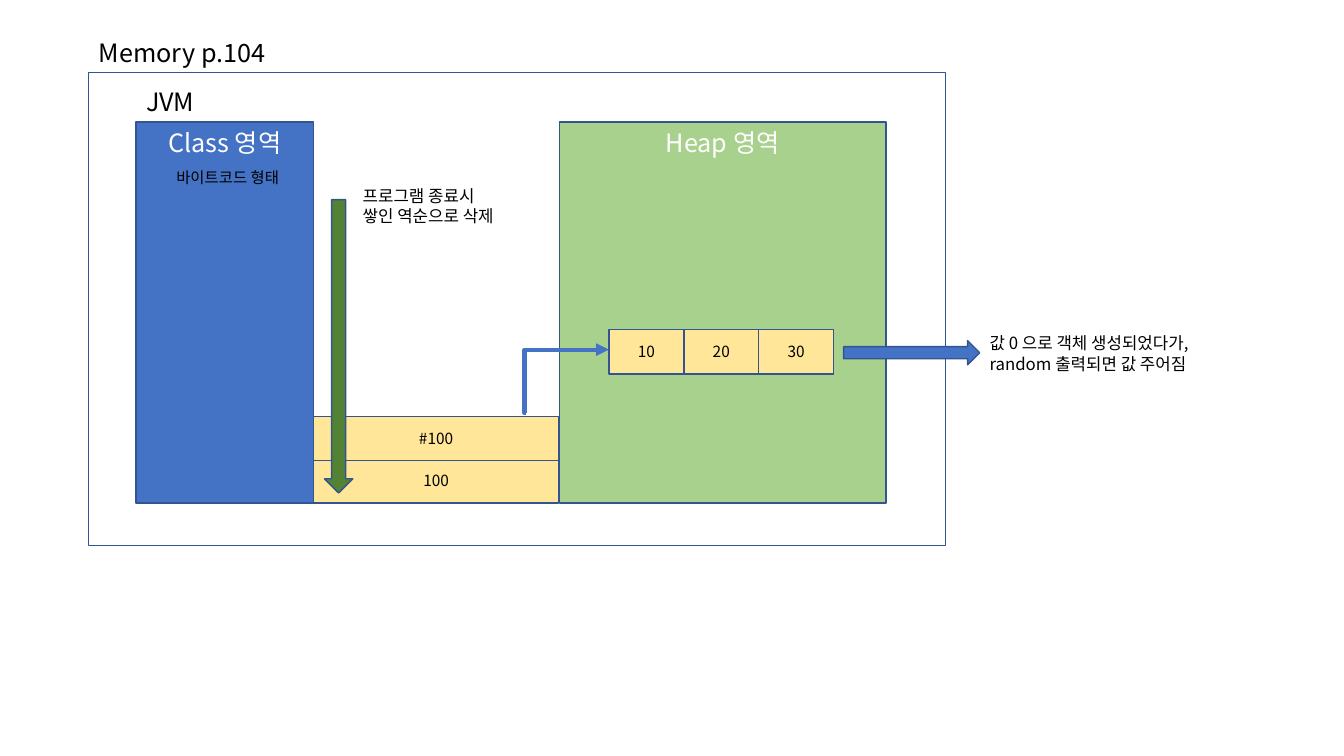
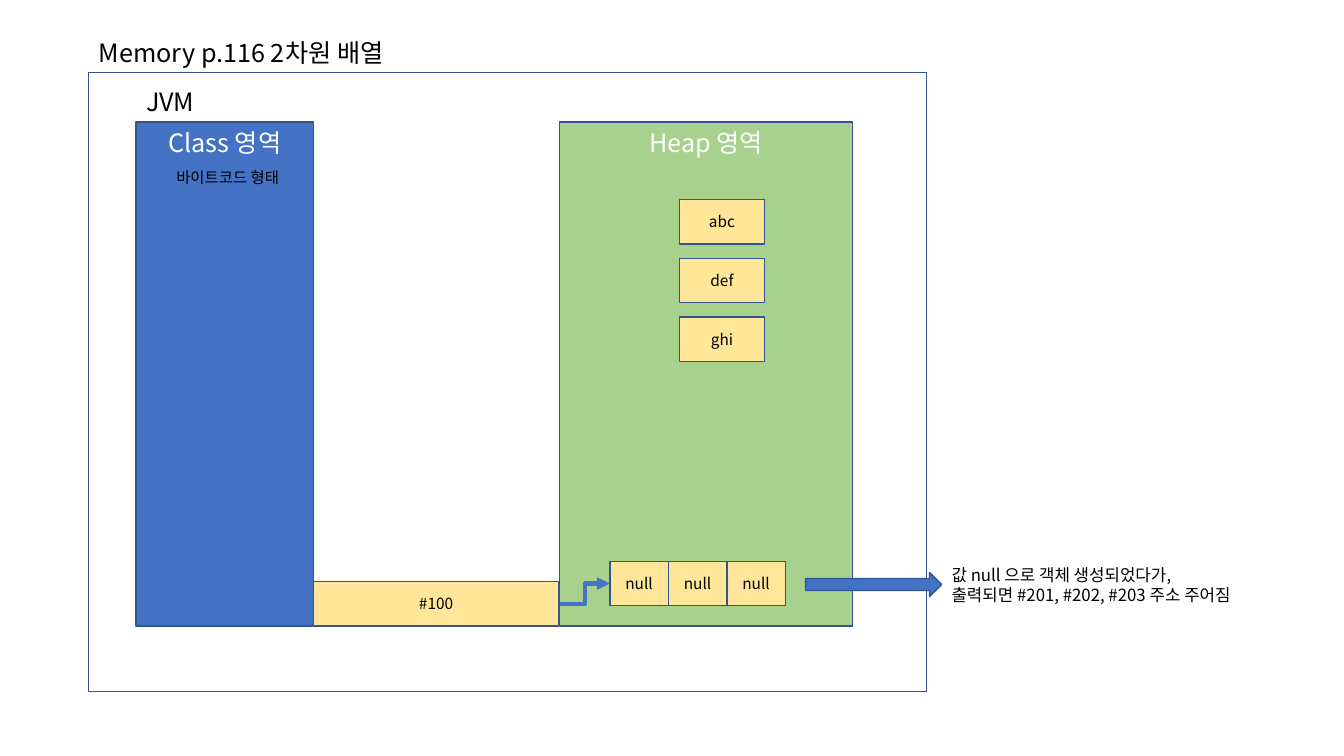
import pptx
import pptx.util
import pptx.dml.color
import pptx.enum.shapes
import pptx.enum.text
import pptx.oxml.ns
from lxml import etree

Pt = pptx.util.Pt
qn = pptx.oxml.ns.qn
SHAPE = pptx.enum.shapes.MSO_SHAPE
ALIGN = pptx.enum.text.PP_ALIGN
ANCHOR = pptx.enum.text.MSO_ANCHOR

FONT = "Noto Sans CJK KR"
BLUE, OUTLINE, HEAP = "4472C4", "325491", "A9D18E"
CELL, STACK_ARROW = "FFE699", "548235"
BLACK, WHITE = "000000", "FFFFFF"
CELL_H = 31.7
CLASS_W = 126.7
STACK_W = 175.2


def rgb(color):
    """Turn a hex string into a colour."""
    return pptx.dml.color.RGBColor.from_string(color)


def write(shape, text, size, color=BLACK, align=ALIGN.LEFT, anchor=ANCHOR.TOP):
    """Put text, one paragraph a line, into a shape."""
    tf = shape.text_frame
    tf.text = text
    tf.word_wrap = True
    tf.auto_size = pptx.enum.text.MSO_AUTO_SIZE.NONE
    tf.vertical_anchor = anchor
    for p in tf.paragraphs:
        p.alignment = align
        p.font.size = Pt(size)
        p.font.name = FONT
        p.font.color.rgb = rgb(color)
        defaults = p._p.get_or_add_pPr().find(qn("a:defRPr"))
        etree.SubElement(defaults, qn("a:ea"), typeface=FONT)


def add_shape(s, kind, box, fill=None):
    """Add an outlined preset shape, hollow unless a fill is given."""
    sp = s.shapes.add_shape(kind, *map(Pt, box))
    sp.shadow.inherit = False
    sp.line.color.rgb = rgb(OUTLINE)
    sp.line.width = Pt(1)
    if fill:
        sp.fill.solid()
        sp.fill.fore_color.rgb = rgb(fill)
    else:
        sp.fill.background()
    return sp


def add_label(s, box, text, size, **style):
    """Add a text box."""
    write(s.shapes.add_textbox(*map(Pt, box)), text, size, **style)


def add_area(s, box, name, fill):
    """Add a memory area with its name at the top."""
    write(add_shape(s, SHAPE.RECTANGLE, box, fill), name, 18, WHITE, ALIGN.CENTER)


def add_cells(s, box, values, dx=0, dy=0):
    """Add value cells, each shifted by dx and dy from the one before."""
    x, y, w, h = box
    for i, value in enumerate(values):
        cell = add_shape(s, SHAPE.RECTANGLE, (x + i * dx, y + i * dy, w, h), CELL)
        write(cell, value, 11, align=ALIGN.CENTER, anchor=ANCHOR.MIDDLE)


def add_array(s, box, values, gap, note, note_w):
    """Add an array row, then an arrow to the note on its values."""
    x, y, w, h = box
    pitch = w / len(values)
    add_cells(s, (x, y, pitch, h), values, dx=pitch)
    arrow_x, arrow_w, arrow_h = x + w + gap, 97.2, 17.3
    add_label(s, (arrow_x + arrow_w, y - 1, note_w, 36), note, 12)
    arrow_box = (arrow_x, y + (h - arrow_h) / 2 + 0.7, arrow_w, arrow_h)
    add_shape(s, SHAPE.RIGHT_ARROW, arrow_box, BLUE)


def add_reference(s, start, end, bend):
    """Add an elbow arrow that turns at the share bend of its width."""
    kind = pptx.enum.shapes.MSO_CONNECTOR.ELBOW
    line = s.shapes.add_connector(kind, *map(Pt, start + end))
    line.line.color.rgb = rgb(BLUE)
    line.line.width = Pt(3)
    props = line._element.spPr
    guides = props.find(qn("a:prstGeom")).get_or_add_avLst()
    etree.SubElement(guides, qn("a:gd"), name="adj1", fmla=f"val {round(bend * 100000)}")
    etree.SubElement(props.find(qn("a:ln")), qn("a:tailEnd"), type="triangle")
    etree.SubElement(props, qn("a:effectLst"))


def add_memory(prs, title, box, area_h, heap_w, stack):
    """Add a slide with the memory frame, its areas and the stack."""
    s = prs.slides.add_slide(prs.slide_layouts[5])
    x, y, w, h = box
    head = s.shapes.title
    head.left, head.top, head.width, head.height = map(Pt, (x, y - 28.8, 300, 28.8))
    write(head, title, 18)
    add_shape(s, SHAPE.RECTANGLE, box)
    left, top = x + 33.8, y + 35.3
    stack_x = left + CLASS_W
    add_area(s, (left, top, CLASS_W, area_h), "Class 영역", BLUE)
    add_area(s, (stack_x + STACK_W + 0.5, top, heap_w, area_h), "Heap 영역", HEAP)
    add_label(s, (left, top - 28.8, 60, 28.8), "JVM", 18)
    add_label(s, (left + 15.8, top + 23.8, 99.4, CELL_H), "바이트코드 형태", 11,
              align=ALIGN.CENTER, anchor=ANCHOR.MIDDLE)
    stack_box = (stack_x, top + area_h - CELL_H, STACK_W, CELL_H)
    add_cells(s, stack_box, stack, dy=-30.2)
    return s


def add_stack_order(s, box, note):
    """Add the downward arrow along the stack and the note beside it."""
    x, y, w, h = box
    add_shape(s, SHAPE.DOWN_ARROW, box, STACK_ARROW)
    add_label(s, (x + w, y - 13.7, 125, 36), note, 12)


def array_slide(prs):
    """Show an array of numbers in memory."""
    s = add_memory(prs, "Memory p.104", (63.4, 51.8, 612, 337.7), 272.2, 233.3,
                   ["100", "#100"])
    add_stack_order(s, (231.8, 142.6, 20.2, 209.5),
                    "프로그램 종료시\n쌓인 역순으로 삭제")
    add_array(s, (434.9, 235.4, 160.6, CELL_H), ["10", "20", "30"], 7.1,
              "값 0 으로 객체 생성되었다가,\nrandom 출력되면 값 주어짐", 190)
    add_reference(s, (375.8, 295.2), (434.9, 249.8), -0.02)


def nested_array_slide(prs):
    """Show a two-dimensional array in memory."""
    s = add_memory(prs, "Memory p.116 2차원 배열", (63.4, 51.8, 598.3, 442.1), 360,
                   209.5, ["#100"])
    add_array(s, (435.6, 401, 125.4, CELL_H), ["null"] * 3, 14.4,
              "값 null 으로 객체 생성되었다가,\n출력되면 #201, #202, #203 주소 주어짐", 240)
    add_reference(s, (400.3, 431.3), (435.6, 416.9), 0.5)
    add_cells(s, (485.5, 142.6, 60.5, CELL_H), ["abc", "def", "ghi"], dy=41.9)


prs = pptx.Presentation()
prs.slide_width, prs.slide_height = Pt(960), Pt(540)
array_slide(prs)
nested_array_slide(prs)
prs.save("out.pptx")
